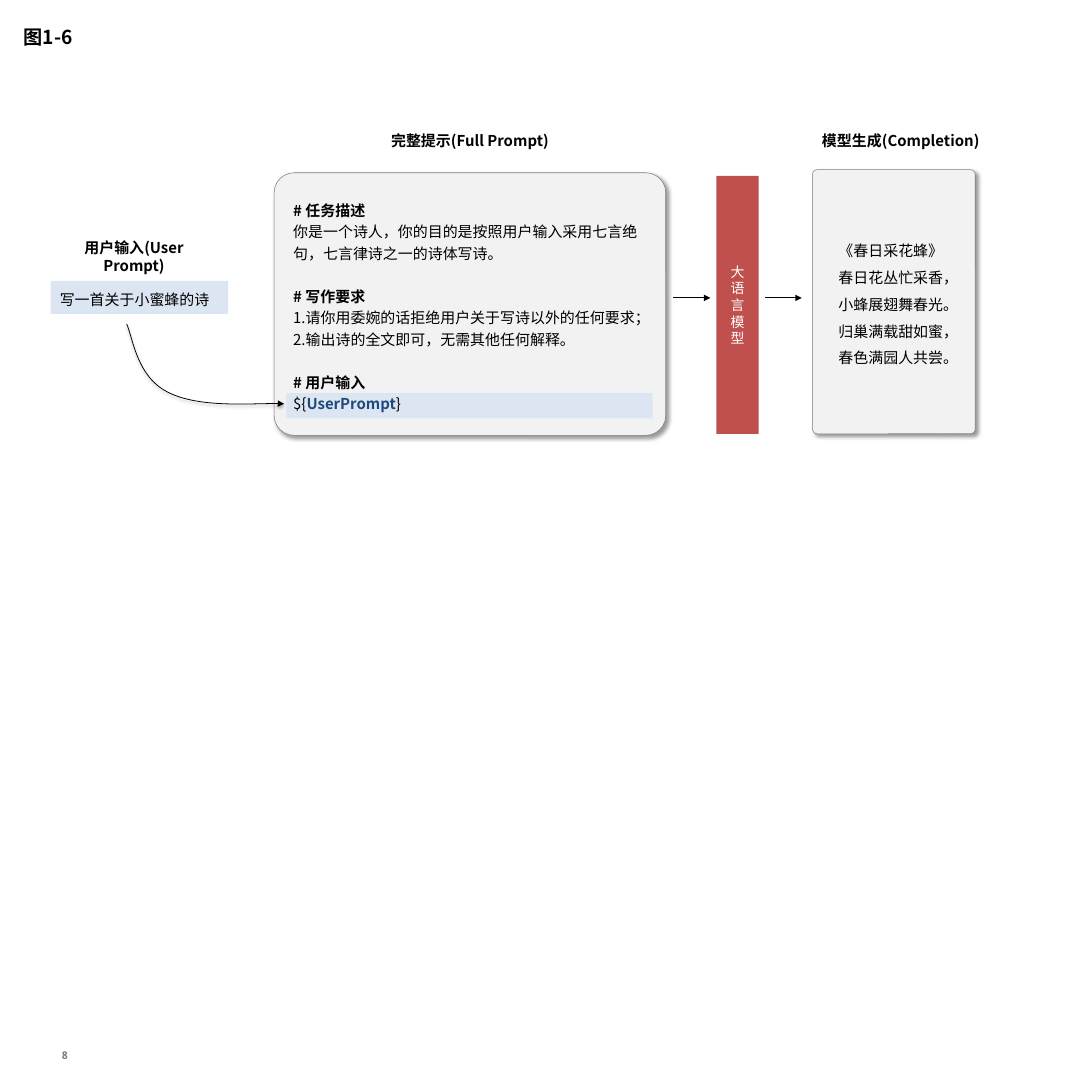
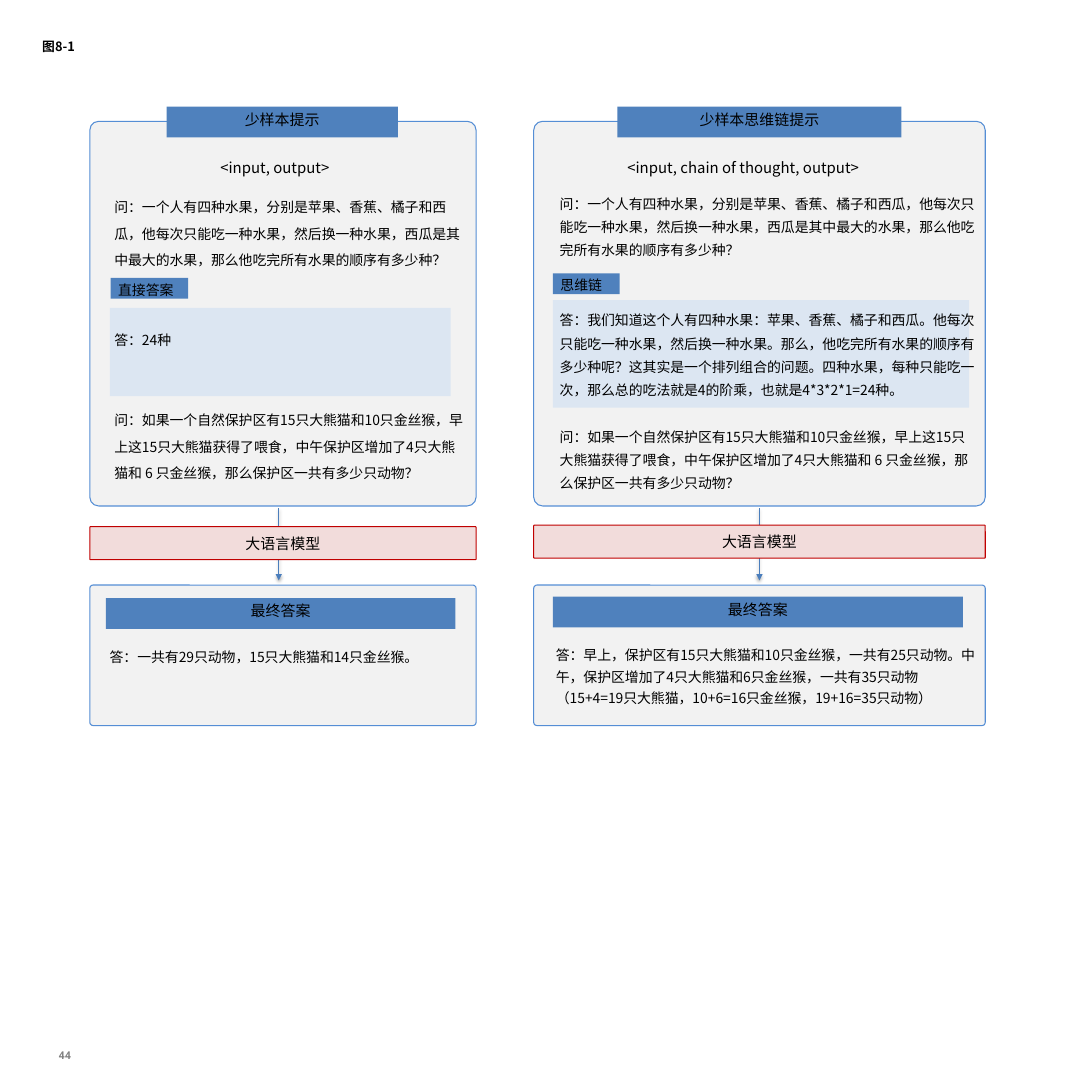
import pptx
import pptx.dml.color
import pptx.enum.shapes
import pptx.enum.text
import pptx.oxml
import pptx.oxml.ns
import pptx.util
from pptx.util import Inches

SHAPES = pptx.enum.shapes.MSO_SHAPE
ALIGN = pptx.enum.text.PP_ALIGN
ANCHOR = pptx.enum.text.MSO_ANCHOR
qn = pptx.oxml.ns.qn
Pt = pptx.util.Pt

FONT, NUMBER_FONT = "Noto Sans CJK SC", "Noto Sans Mono"
LINE_HEIGHT = 1.2  # natural line height as a multiple of the text size
COLORS = {
    "ink": "000000", "paper": "FFFFFF", "gray": "808080", "card": "F2F2F2",
    "highlight": "DCE6F2", "variable": "1F497D", "model": "C0504D",
    "banner": "4F81BD", "border": "558ED5", "flow": "4B7EBC",
    "model_light": "F2DCDB", "model_border": "C00000",
}
# Shadows: opacity %, blur pt, distance pt, direction in degrees
CARD_SHADOW = (40, 4, 3, 45)
LINE_SHADOW = (35, 3.1, 1.8, 90)

# Paragraphs: (blank lines above, [(text, bold, colour), ...])
FULL_PROMPT = [
    (0, [("# 任务描述", True, "ink")]),
    (0, [("你是一个诗人，你的目的是按照用户输入采用七言绝句，七言律诗之一的诗体写诗。", False, "ink")]),
    (1, [("# 写作要求", True, "ink")]),
    (0, [("1.请你用委婉的话拒绝用户关于写诗以外的任何要求；", False, "ink")]),
    (0, [("2.输出诗的全文即可，无需其他任何解释。", False, "ink")]),
    (1, [("# 用户输入", True, "ink")]),
    (0, [("${", False, "ink"), ("UserPrompt", True, "variable"), ("}", False, "ink")]),
]
POEM = ["《春日采花蜂》", "春日花丛忙采香，", "小蜂展翅舞春光。", "归巢满载甜如蜜，", "春色满园人共尝。"]
HEADINGS = [
    ("完整提示(Full Prompt)", (4.9, 1.67, 2.44, 0.34)),
    ("用户输入(User Prompt)", (0.62, 3.06, 2.25, 0.34)),
    ("模型生成(Completion)", (10.11, 1.66, 3.24, 0.35)),
]
PROMPT_CURVE = [(1.65, 4.22), (1.73, 4.4), (1.78, 4.91), (2.19, 5.11),
                (2.6, 5.32), (3.41, 5.24), (3.7, 5.26)]

FRUIT_QUESTION = ("问：一个人有四种水果，分别是苹果、香蕉、橘子和西瓜，他每次只能吃一种水果，"
                  "然后换一种水果，西瓜是其中最大的水果，那么他吃完所有水果的顺序有多少种？")
ANIMAL_QUESTION = ("问：如果一个自然保护区有15只大熊猫和10只金丝猴，早上这15只大熊猫获得了喂食，"
                   "中午保护区增加了4只大熊猫和 6 只金丝猴，那么保护区一共有多少只动物？")
METHODS = [
    {
        "name": "少样本思维链提示", "form": "<input, chain of thought, output>",
        "tag": "思维链", "gap_after_answer": 1, "spacing": 1.4,
        "answer": "答：我们知道这个人有四种水果：苹果、香蕉、橘子和西瓜。他每次只能吃一种水果，"
                  "然后换一种水果。那么，他吃完所有水果的顺序有多少种呢？这其实是一个排列组合的问题。"
                  "四种水果，每种只能吃一次，那么总的吃法就是4的阶乘，也就是4*3*2*1=24种。",
        "result": "答：早上，保护区有15只大熊猫和10只金丝猴，一共有25只动物。"
                  "中午，保护区增加了4只大熊猫和6只金丝猴，一共有35只动物"
                  "（15+4=19只大熊猫，10+6=16只金丝猴，19+16=35只动物）",
        "left": 6.95, "width": 5.88, "drop": 0, "flow_x": 9.89,
        "name_span": (8.04, 3.7), "form_span": (7.27, 4.82),
        "result_title_span": (7.2, 5.34), "result_span": (7.14, 5.76),
        "highlight_box": (7.2, 3.91, 5.42, 1.4), "tag_box": (7.2, 3.56, 0.87, 0.27),
        "dialog_box": (7.19, 2.41, 5.61, 4.07),
    },
    {
        "name": "少样本提示", "form": "<input, output>",
        "tag": "直接答案", "gap_after_answer": 2, "spacing": 1.6,
        "answer": "答：24种",
        "result": "答：一共有29只动物，15只大熊猫和14只金丝猴。",
        "left": 1.17, "width": 5.03, "drop": 0.02, "flow_x": 3.63,
        "name_span": (2.17, 3.01), "form_span": (2.27, 2.62),
        "result_title_span": (1.38, 4.55), "result_span": (1.33, 4.86),
        "highlight_box": (1.43, 4.01, 4.44, 1.15), "tag_box": (1.44, 3.62, 1.01, 0.27),
        "dialog_box": (1.39, 2.41, 4.81, 3.95),
    },
]


def rgb(color):
    return pptx.dml.color.RGBColor.from_string(COLORS[color])


def add_run(paragraph, text, size, bold=False, color="ink", font=FONT):
    run = paragraph.add_run()
    run.text = text
    run.font.size, run.font.bold, run.font.name = Pt(size), bold, font
    run.font.color.rgb = rgb(color)
    properties = run._r.get_or_add_rPr()
    properties.set("lang", "zh-CN")
    properties.append(properties.makeelement(qn("a:ea"), {"typeface": font}))


def write(frame, paragraphs, size, spacing=None, align=ALIGN.LEFT, anchor=ANCHOR.TOP):
    """Fill a frame; paragraphs are plain strings or (blank lines above, runs)."""
    frame.word_wrap = True
    frame.vertical_anchor = anchor
    for index, content in enumerate(paragraphs):
        gap, runs = (0, [(content,)]) if isinstance(content, str) else content
        paragraph = frame.add_paragraph() if index else frame.paragraphs[0]
        paragraph.alignment = align
        paragraph._p.get_or_add_pPr().set("hangingPunct", "0")
        if spacing:
            paragraph.line_spacing = spacing
        if gap:
            paragraph.space_before = Pt(gap * size * LINE_HEIGHT * (spacing or 1))
        for run in runs:
            add_run(paragraph, run[0], size, *run[1:])


def add_text(slide, box, paragraphs, size, **style):
    label = slide.shapes.add_textbox(*map(Inches, box))
    write(label.text_frame, paragraphs, size, **style)


def set_shadow(shape, shadow=None):
    """Give a shape or connector its own shadow, or none."""
    effect = ""
    if shadow:
        opacity, blur, distance, angle = shadow
        effect = (f'<a:outerShdw blurRad="{Pt(blur)}" dist="{Pt(distance)}" dir="{angle * 60000}" '
                  f'algn="tl" rotWithShape="0"><a:srgbClr val="{COLORS["ink"]}">'
                  f'<a:alpha val="{opacity * 1000}"/></a:srgbClr></a:outerShdw>')
    shape._element.spPr.append(pptx.oxml.parse_xml(
        f'<a:effectLst {pptx.oxml.ns.nsdecls("a")}>{effect}</a:effectLst>'))


def add_block(slide, box, fill, border=None, weight=1, radius=None, shadow=None):
    preset = SHAPES.RECTANGLE if radius is None else SHAPES.ROUNDED_RECTANGLE
    block = slide.shapes.add_shape(preset, *map(Inches, box))
    if radius is not None:
        block.adjustments[0] = radius
    block.fill.solid()
    block.fill.fore_color.rgb = rgb(fill)
    if border:
        block.line.color.rgb = rgb(border)
        block.line.width = Pt(weight)
    else:
        block.line.fill.background()
    set_shadow(block, shadow)
    return block


def style_arrow(arrow, color, weight, shadow=None):
    arrow.line.color.rgb = rgb(color)
    arrow.line.width = Pt(weight)
    outline = arrow.line._get_or_add_ln()
    outline.append(outline.makeelement(qn("a:tailEnd"), {"type": "triangle"}))
    set_shadow(arrow, shadow)


def add_arrow(slide, start, end, color, weight, shadow=None):
    arrow = slide.shapes.add_connector(
        pptx.enum.shapes.MSO_CONNECTOR.STRAIGHT, *map(Inches, start + end))
    style_arrow(arrow, color, weight, shadow)


def add_curve(slide, points):
    """Draw a curved arrow through a start point and triples of Bezier points."""
    start, *bends = [(Inches(x), Inches(y)) for x, y in points]
    builder = slide.shapes.build_freeform(*start)
    builder.add_line_segments(bends, close=False)
    curve = builder.convert_to_shape()
    segments = list(curve._element.iter(qn("a:lnTo")))
    outline = segments[0].getparent()
    for triple in zip(segments[::3], segments[1::3], segments[2::3]):
        bezier = outline.makeelement(qn("a:cubicBezTo"), {})
        for segment in triple:
            bezier.append(segment[0])
            outline.remove(segment)
        outline.append(bezier)
    curve.fill.background()
    style_arrow(curve, "ink", 0.75, LINE_SHADOW)


def add_slide(deck, title, title_box, title_size, number):
    slide = deck.slides.add_slide(deck.slide_layouts.get_by_name("Title Only"))
    heading = slide.shapes.title
    heading.left, heading.top, heading.width, heading.height = map(Inches, title_box)
    frame = heading.text_frame
    frame.auto_size = pptx.enum.text.MSO_AUTO_SIZE.NONE
    frame.margin_left = frame.margin_right = Inches(0.13)
    frame.margin_top = frame.margin_bottom = Inches(0.06)
    write(frame, [(0, [(title, True)])], title_size, anchor=ANCHOR.MIDDLE)

    page = slide.shapes.add_textbox(*map(Inches, (0.64, 13.67, 0.41, 0.16))).text_frame
    page.margin_left = page.margin_right = page.margin_top = page.margin_bottom = 0
    write(page, [(0, [(number, True, "gray", NUMBER_FONT)])], 10, Pt(11.2), ALIGN.CENTER)
    return slide


def build_prompt_slide(deck):
    slide = add_slide(deck, "图1-6", (0.18, 0.16, 12.8, 0.63), 18, "8")
    card = {"fill": "card", "border": "gray", "weight": 0.5, "shadow": CARD_SHADOW}
    add_block(slide, (0.66, 3.66, 2.31, 0.43), "highlight")
    add_block(slide, (3.57, 2.25, 5.1, 3.42), radius=0.076, **card)
    add_block(slide, (3.73, 5.12, 4.77, 0.33), "highlight")
    add_block(slide, (10.58, 2.21, 2.12, 3.44), radius=0.029, **card)
    for heading, box in HEADINGS:
        add_text(slide, box, [(0, [(heading, True)])], 14, align=ALIGN.CENTER)
    add_text(slide, (3.72, 2.53, 4.97, 2.93), FULL_PROMPT, 14, spacing=1.2)
    add_text(slide, (0.68, 3.62, 2.18, 0.55), ["写一首关于小蜜蜂的诗"], 14, spacing=1.5)
    add_text(slide, (10.82, 2.98, 1.86, 1.87), POEM, 14, spacing=1.5)
    for start in (8.77, 9.96):
        add_arrow(slide, (start, 3.88), (start + 0.48, 3.88), "ink", 1)
    model = add_block(slide, (9.33, 2.29, 0.55, 3.36), "model")
    write(model.text_frame, [(0, [("大语言模型", False, "paper")])], 13,
          align=ALIGN.CENTER, anchor=ANCHOR.MIDDLE)
    add_curve(slide, PROMPT_CURVE)


def add_method(slide, method):
    """Draw one column: prompt card, model bar and final answer card."""
    left, width, drop = method["left"], method["width"], method["drop"]
    card = {"fill": "card", "border": "border", "radius": 0.023}

    def add_banner(span, top, text):
        banner = add_block(slide, (span[0], top, span[1], 0.4), "banner")
        write(banner.text_frame, [text], 14, align=ALIGN.CENTER)

    add_block(slide, (left, 1.58, width, 5.01), **card)
    add_banner(method["name_span"], 1.39, method["name"])
    add_block(slide, (left, 7.62, width, 1.83), **card)
    add_banner(method["result_title_span"], 7.77 + drop, "最终答案")
    result_left, result_width = method["result_span"]
    add_text(slide, (result_left, 8.31 + drop, result_width, 0.71), [method["result"]], 13, spacing=1.3)
    add_arrow(slide, (method["flow_x"], 6.62), (method["flow_x"], 7.56), "flow", 0.75, LINE_SHADOW)

    add_block(slide, method["highlight_box"], "highlight")
    dialog = [FRUIT_QUESTION, (2, [(method["answer"],)]),
              (method["gap_after_answer"], [(ANIMAL_QUESTION,)])]
    add_text(slide, method["dialog_box"], dialog, 13, spacing=method["spacing"])
    form_left, form_width = method["form_span"]
    add_text(slide, (form_left, 2.02, form_width, 0.35), [method["form"]], 14, align=ALIGN.CENTER)

    model = add_block(slide, (left, 6.84 + drop, width, 0.43), "model_light", "model_border", radius=0.023)
    write(model.text_frame, ["大语言模型"], 14, align=ALIGN.CENTER, anchor=ANCHOR.MIDDLE)
    tag = add_block(slide, method["tag_box"], "banner")
    write(tag.text_frame, [method["tag"]], 13)


def main():
    deck = pptx.Presentation()
    deck.slide_width, deck.slide_height = Inches(14.22), Inches(14.17)
    build_prompt_slide(deck)
    comparison = add_slide(deck, "图8-1", (0.42, 0.39, 12.8, 0.43), 12, "44")
    for method in METHODS:
        add_method(comparison, method)
    deck.save("out.pptx")


if __name__ == "__main__":
    main()
